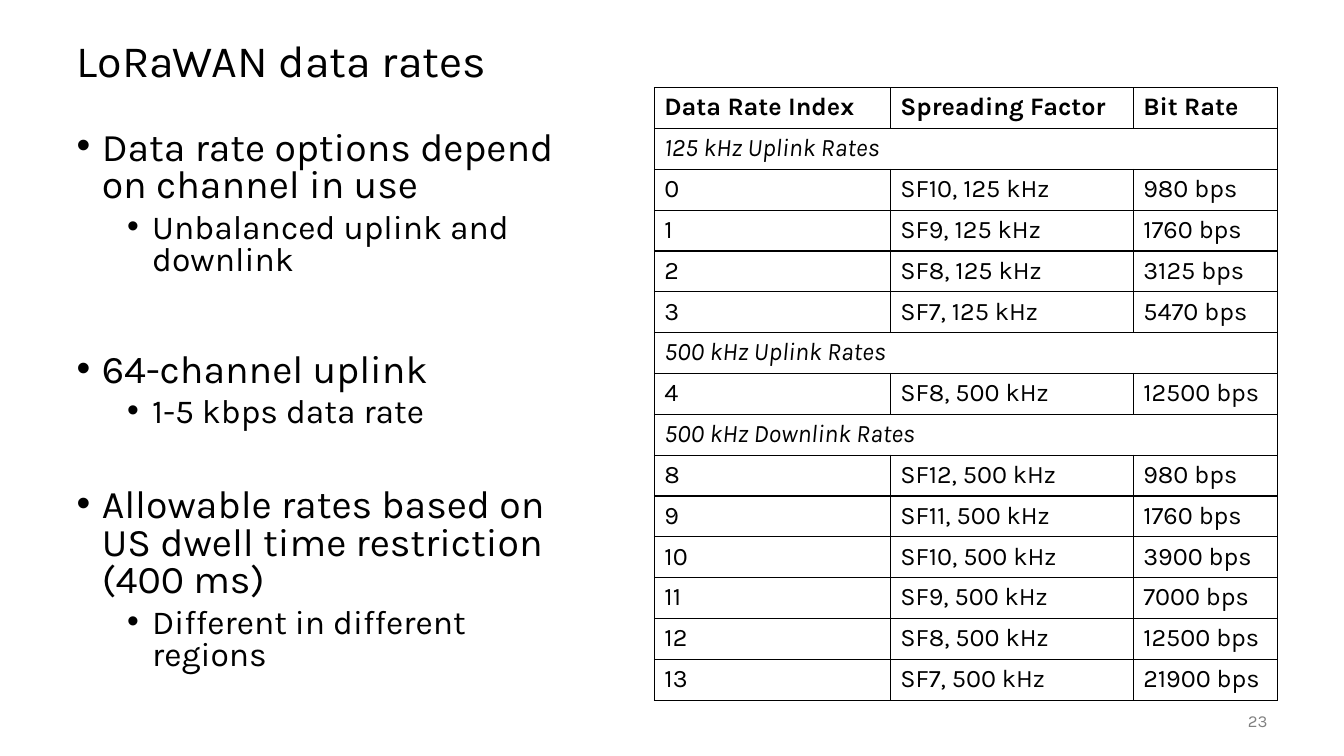
from dataclasses import dataclass

from lxml import etree
from pptx import Presentation
from pptx.dml.color import RGBColor
from pptx.enum.text import MSO_ANCHOR, MSO_AUTO_SIZE, PP_ALIGN
from pptx.oxml.ns import qn
from pptx.util import Inches, Pt

LEFT, RIGHT = PP_ALIGN.LEFT, PP_ALIGN.RIGHT
TOP, MIDDLE = MSO_ANCHOR.TOP, MSO_ANCHOR.MIDDLE
NO_AUTOFIT = MSO_AUTO_SIZE.NONE

TITLE = "LoRaWAN data rates"
SLIDE_NUMBER = "23"
BULLETS = [
    (0, "Data rate options depend on channel in use", 0),
    (1, "Unbalanced uplink and downlink", 5),
    (0, "64-channel uplink", 54),
    (1, "1-5 kbps data rate", 5),
    (0, "Allowable rates based on US dwell time restriction\n(400 ms)", 41.5),
    (1, "Different in different regions", 5),
]
HEADER = ("Data Rate Index", "Spreading Factor", "Bit Rate")
RATE_GROUPS = [
    ("125 kHz Uplink Rates", [
        ("0", "SF10, 125 kHz", "980 bps"),
        ("1", "SF9, 125 kHz", "1760 bps"),
        ("2", "SF8, 125 kHz", "3125 bps"),
        ("3", "SF7, 125 kHz", "5470 bps"),
    ]),
    ("500 kHz Uplink Rates", [
        ("4", "SF8, 500 kHz", "12500 bps"),
    ]),
    ("500 kHz Downlink Rates", [
        ("8", "SF12, 500 kHz", "980 bps"),
        ("9", "SF11, 500 kHz", "1760 bps"),
        ("10", "SF10, 500 kHz", "3900 bps"),
        ("11", "SF9, 500 kHz", "7000 bps"),
        ("12", "SF8, 500 kHz", "12500 bps"),
        ("13", "SF7, 500 kHz", "21900 bps"),
    ]),
]
COLUMN_WIDTHS = (2.34, 2.41, 1.43)
TABLE_HEIGHT = 6.08


@dataclass(frozen=True)
class Theme:
    font: str = "Karla"
    text: str = "000000"
    muted: str = "808080"
    border: str = "000000"
    border_width: float = 1
    title_size: int = 32
    bullet_sizes: tuple = (28, 24)
    table_size: int = 18
    number_size: int = 12


THEME = Theme()


def write(paragraph, text, size, color=THEME.text, bold=False, italic=False,
          align=LEFT, line_spacing=1.0, space_before=0):
    paragraph.text = text
    paragraph.alignment = align
    paragraph.line_spacing = line_spacing
    paragraph.space_before = Pt(space_before)
    for run in paragraph.runs:
        run.font.name = THEME.font
        run.font.size = Pt(size)
        run.font.bold = bold
        run.font.italic = italic
        run.font.color.rgb = RGBColor.from_string(color)


def place(shape, left, top, width, height, anchor):
    shape.left, shape.top = Inches(left), Inches(top)
    shape.width, shape.height = Inches(width), Inches(height)
    frame = shape.text_frame
    frame.word_wrap = True
    frame.auto_size = NO_AUTOFIT
    frame.vertical_anchor = anchor
    return frame


def add_bullet(paragraph, level):
    paragraph.level = level
    properties = paragraph._p.get_or_add_pPr()
    properties.set("marL", str(Inches(0.25 + 0.5 * level)))
    properties.set("indent", str(Inches(-0.25)))
    etree.SubElement(properties, qn("a:buFont"), typeface="Arial")
    etree.SubElement(properties, qn("a:buChar"), char="•")


def add_borders(cell):
    properties = cell._tc.get_or_add_tcPr()
    for position, side in enumerate(("lnL", "lnR", "lnT", "lnB")):
        line = etree.Element(qn(f"a:{side}"), w=str(Pt(THEME.border_width)))
        fill = etree.SubElement(line, qn("a:solidFill"))
        etree.SubElement(fill, qn("a:srgbClr"), val=THEME.border)
        properties.insert(position, line)


def add_rate_table(slide):
    rows = [(HEADER, {"bold": True})]
    for group, rates in RATE_GROUPS:
        rows.append(((group,), {"italic": True}))
        rows.extend((rate, {}) for rate in rates)

    table = slide.shapes.add_table(
        len(rows), len(HEADER), Inches(6.49), Inches(0.87),
        Inches(sum(COLUMN_WIDTHS)), Inches(TABLE_HEIGHT)).table
    table.first_row = False
    table.horz_banding = False
    for column, width in zip(table.columns, COLUMN_WIDTHS):
        column.width = Inches(width)
    for row_index, (values, style) in enumerate(rows):
        table.rows[row_index].height = Inches(TABLE_HEIGHT / len(rows))
        for column_index in range(len(HEADER)):
            cell = table.cell(row_index, column_index)
            cell.fill.background()
            add_borders(cell)
        if len(values) == 1:
            table.cell(row_index, 0).merge(table.cell(row_index, len(HEADER) - 1))
        for column_index, value in enumerate(values):
            cell = table.cell(row_index, column_index)
            write(cell.text_frame.paragraphs[0], value, THEME.table_size, **style)


def main():
    presentation = Presentation()
    presentation.slide_width = Inches(13.33)
    presentation.slide_height = Inches(7.5)
    slide = presentation.slides.add_slide(presentation.slide_layouts[1])

    title = place(slide.shapes.title, 0.66, 0.25, 12, 0.75, MIDDLE)
    write(title.paragraphs[0], TITLE, THEME.title_size, line_spacing=0.9)

    body = place(slide.placeholders[1], 0.66, 1.25, 5.24, 5.5, TOP)
    for index, (level, text, space_before) in enumerate(BULLETS):
        paragraph = body.add_paragraph() if index else body.paragraphs[0]
        add_bullet(paragraph, level)
        write(paragraph, text, THEME.bullet_sizes[level],
              line_spacing=0.8, space_before=space_before)

    add_rate_table(slide)

    number = place(slide.shapes.add_textbox(0, 0, 0, 0), 11.67, 6.95, 1, 0.4, MIDDLE)
    write(number.paragraphs[0], SLIDE_NUMBER, THEME.number_size,
          color=THEME.muted, align=RIGHT)

    presentation.save("out.pptx")


if __name__ == "__main__":
    main()
